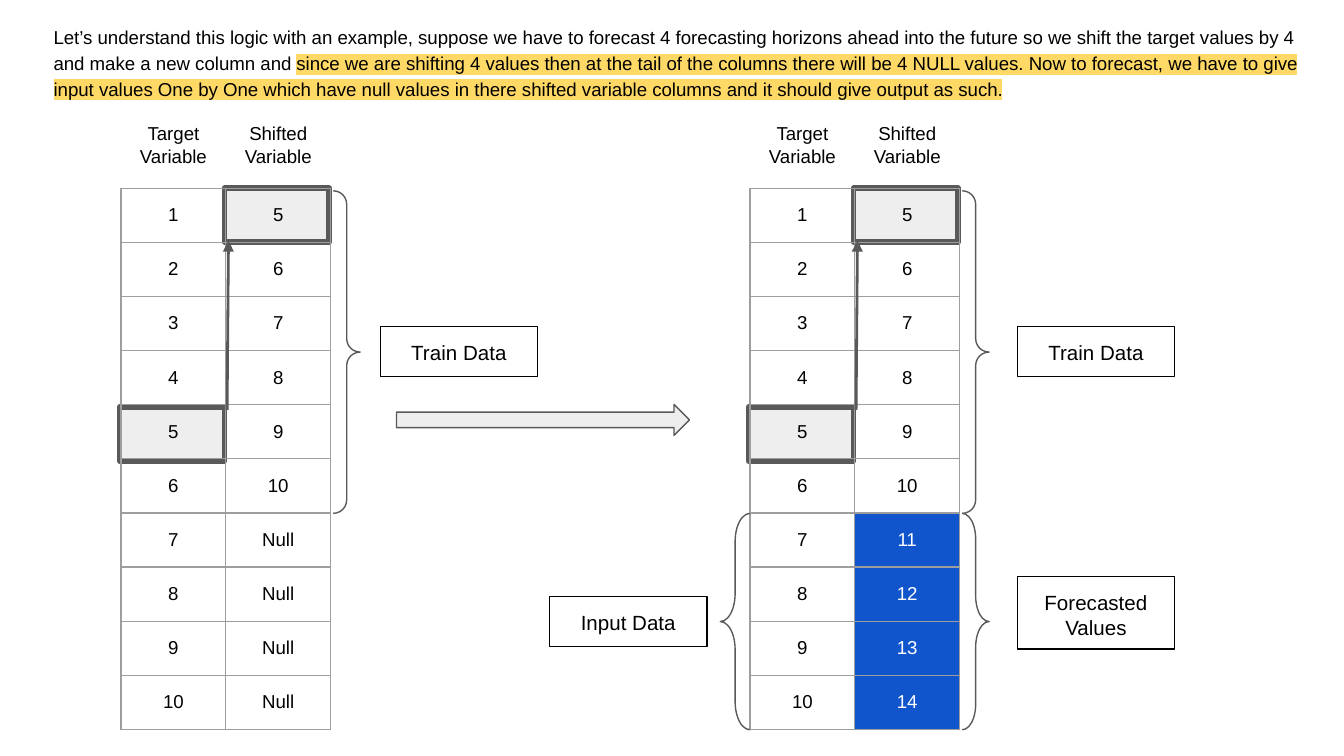
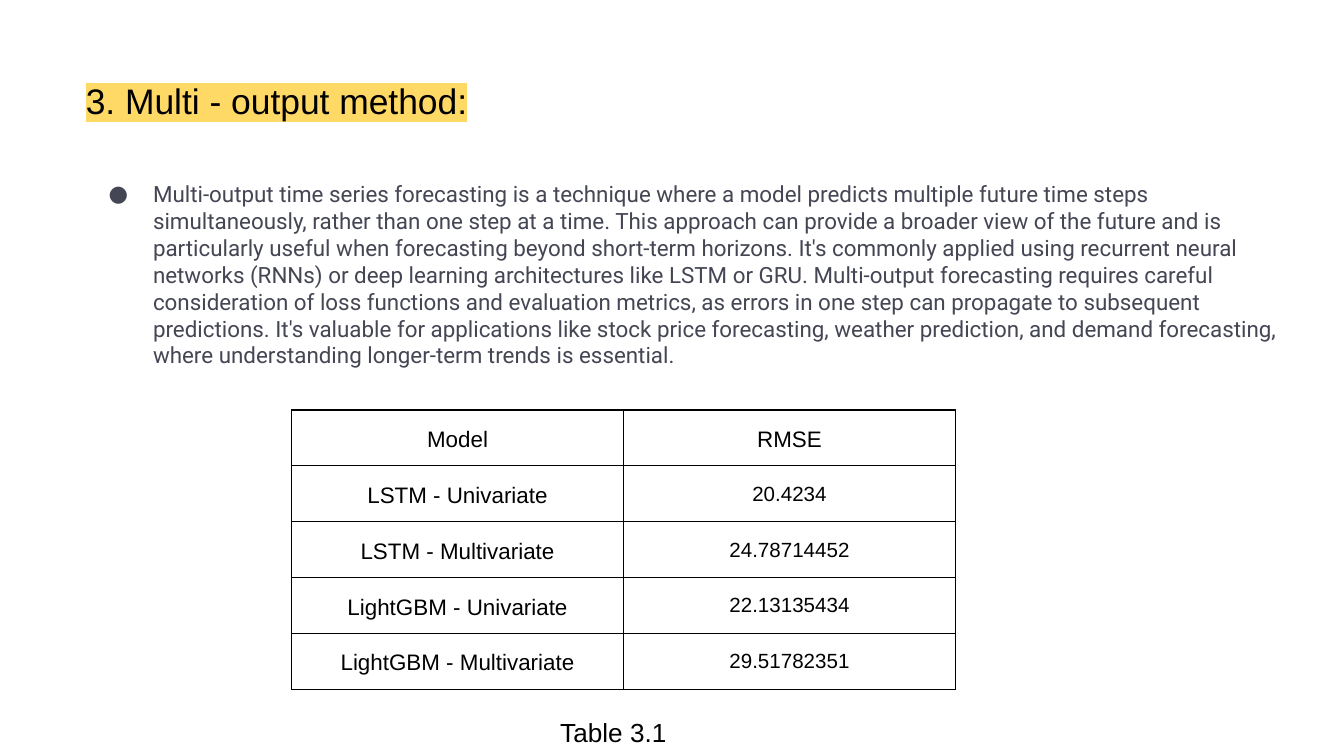
"""Build two slides on shifted-target and multi-output forecasting."""
import lxml.etree
import pptx
import pptx.dml.color
import pptx.enum.shapes
import pptx.enum.text
import pptx.oxml.ns
import pptx.util

Inches = pptx.util.Inches
SHAPES = pptx.enum.shapes.MSO_SHAPE
ANCHOR = pptx.enum.text.MSO_ANCHOR
ALIGN = pptx.enum.text.PP_ALIGN

BLACK, WHITE, GREY, PALE = "000000", "FFFFFF", "595959", "EEEEEE"
GRID, BLUE, SLATE, YELLOW = "9E9E9E", "1155CC", "444654", "FFD966"

INTRO = (
    "Let’s understand this logic with an example, suppose we have to forecast 4 forecasting horizons "
    "ahead into the future so we shift the target values by 4 and make a new column and "
)
INTRO_MARKED = (
    "since we are shifting 4 values then at the tail of the columns there will be 4 NULL values. "
    "Now to forecast, we have to give input values One by One which have null values in there "
    "shifted variable columns and it should give output as such."
)
HEADERS = ["Target Variable", "Shifted Variable"]
TARGETS = list(range(1, 11))
SHIFT = 4
PANELS = [
    {"left": 0.9, "tail": ["Null"] * SHIFT, "tail_fill": None},
    {"left": 5.58, "tail": [11, 12, 13, 14], "tail_fill": BLUE},
]
LABELS = [
    ("Train Data", 2.83, 2.43, 0.37),
    ("Train Data", 7.57, 2.43, 0.37),
    ("Forecasted Values", 7.57, 4.29, 0.54),
    ("Input Data", 4.09, 4.44, 0.37),
]
FORECAST_BRACES = [
    (SHAPES.RIGHT_BRACE, (7.16, 3.82, 0.2, 1.61)),
    (SHAPES.LEFT_BRACE, (5.36, 3.82, 0.22, 1.61)),
]
GRID_TOP, GRID_HEIGHT, COLUMN_WIDTH = 1.4, 4.03, 0.78
HIGHLIGHTED_CELLS = [(0, 3.03), (1, GRID_TOP)]

METHOD_TITLE = "3. Multi - output method:"
METHOD_TEXT = (
    "Multi-output time series forecasting is a technique where a model predicts multiple future time "
    "steps simultaneously, rather than one step at a time. This approach can provide a broader view of "
    "the future and is particularly useful when forecasting beyond short-term horizons. It's commonly "
    "applied using recurrent neural networks (RNNs) or deep learning architectures like LSTM or GRU. "
    "Multi-output forecasting requires careful consideration of loss functions and evaluation metrics, "
    "as errors in one step can propagate to subsequent predictions. It's valuable for applications like "
    "stock price forecasting, weather prediction, and demand forecasting, where understanding "
    "longer-term trends is essential."
)
SCORES = [
    ("Model", "RMSE"),
    ("LSTM - Univariate", "20.4234"),
    ("LSTM - Multivariate", "24.78714452"),
    ("LightGBM - Univariate", "22.13135434"),
    ("LightGBM - Multivariate", "29.51782351"),
]
CAPTION = "Table 3.1"


def color(value):
    return pptx.dml.color.RGBColor.from_string(value)


def add_element(parent, tag, **attributes):
    return lxml.etree.SubElement(parent, pptx.oxml.ns.qn(tag), **attributes)


def add_run(paragraph, text, size, ink=BLACK, font="Arial", marker=None):
    run = paragraph.add_run()
    run.text = str(text)
    run.font.size = pptx.util.Pt(size)
    run.font.color.rgb = color(ink)
    if marker:
        highlight = add_element(run.font._element, "a:highlight")
        add_element(highlight, "a:srgbClr", val=marker)
    run.font.name = font


def set_frame(frame, anchor=ANCHOR.TOP):
    frame.word_wrap = True
    frame.vertical_anchor = anchor
    frame.margin_left = frame.margin_right = Inches(0.1)
    frame.margin_top = frame.margin_bottom = Inches(0.1)
    return frame.paragraphs[0]


def add_text_box(slide, box, anchor=ANCHOR.TOP):
    frame = slide.shapes.add_textbox(*map(Inches, box)).text_frame
    return frame, set_frame(frame, anchor)


def add_shape(slide, kind, box, fill=None, line=GREY, width=0.75, adjustments=()):
    shape = slide.shapes.add_shape(kind, *map(Inches, box))
    shape.shadow.inherit = False
    if fill:
        shape.fill.solid()
        shape.fill.fore_color.rgb = color(fill)
    else:
        shape.fill.background()
    shape.line.color.rgb = color(line)
    shape.line.width = pptx.util.Pt(width)
    for index, value in enumerate(adjustments):
        shape.adjustments[index] = value
    return shape


def add_table(slide, box, rows, columns, border):
    table = slide.shapes.add_table(rows, columns, *map(Inches, box)).table
    table.first_row = table.horz_banding = False
    for cell in table.iter_cells():
        cell.margin_top = cell.margin_bottom = Inches(0.1)
        properties = cell._tc.get_or_add_tcPr()
        for side in ("a:lnL", "a:lnR", "a:lnT", "a:lnB"):
            edge = add_element(properties, side, w=str(pptx.util.Pt(0.75)))
            add_element(add_element(edge, "a:solidFill"), "a:srgbClr", val=border)
        cell.fill.background()
        cell.text_frame.paragraphs[0].alignment = ALIGN.CENTER
    return table


def add_shift_arrow(slide, left):
    arrow = slide.shapes.add_connector(
        pptx.enum.shapes.MSO_CONNECTOR.STRAIGHT,
        Inches(left + 0.79), Inches(3.05), Inches(left + 0.8), Inches(1.79),
    )
    arrow.line.color.rgb = color(GREY)
    arrow.line.width = pptx.util.Pt(1.5)
    add_element(arrow.line._get_or_add_ln(), "a:tailEnd", type="triangle")
    add_element(arrow._element.spPr, "a:effectLst")


def add_panel(slide, left, tail, tail_fill):
    for column, top in HIGHLIGHTED_CELLS:
        box = (left - 0.01 + column * COLUMN_WIDTH, top, COLUMN_WIDTH, 0.4)
        add_shape(slide, SHAPES.RECTANGLE, box, PALE, width=3)

    box = (left, GRID_TOP, 2 * COLUMN_WIDTH, GRID_HEIGHT)
    table = add_table(slide, box, len(TARGETS), 2, GRID)
    first_tail = len(TARGETS) - SHIFT
    for row, values in enumerate(zip(TARGETS, TARGETS[SHIFT:] + tail)):
        for column, value in enumerate(values):
            cell = table.cell(row, column)
            cell.vertical_anchor = ANCHOR.MIDDLE
            filled = tail_fill and column == 1 and row >= first_tail
            if filled:
                cell.fill.solid()
                cell.fill.fore_color.rgb = color(tail_fill)
            add_run(cell.text_frame.paragraphs[0], value, 10, WHITE if filled else BLACK)

    for column, header in enumerate(HEADERS):
        box = (left + column * COLUMN_WIDTH, 0.89, COLUMN_WIDTH, 0.37)
        _, paragraph = add_text_box(slide, box, ANCHOR.MIDDLE)
        paragraph.alignment = ALIGN.CENTER
        add_run(paragraph, header, 10)

    add_shift_arrow(slide, left)
    add_shape(slide, SHAPES.RIGHT_BRACE, (left + 1.58, 1.42, 0.2, 2.4), adjustments=(0.5, 0.5))


def build_shift_slide(slide):
    _, paragraph = add_text_box(slide, (0.3, 0.07, 9.52, 0.77))
    paragraph.line_spacing = 1.15
    add_run(paragraph, INTRO, 10)
    add_run(paragraph, INTRO_MARKED, 10, marker=YELLOW)

    for panel in PANELS:
        add_panel(slide, **panel)
    for kind, box in FORECAST_BRACES:
        add_shape(slide, kind, box, adjustments=(0.95, 0.5))
    add_shape(slide, SHAPES.RIGHT_ARROW, (2.95, 3.01, 2.18, 0.23), PALE, adjustments=(0.5, 0.5))

    for text, left, top, height in LABELS:
        label = add_shape(slide, SHAPES.RECTANGLE, (left, top, 1.17, height), line=BLACK)
        paragraph = set_frame(label.text_frame)
        paragraph.alignment = ALIGN.CENTER
        add_run(paragraph, text, 11)


def build_method_slide(slide):
    frame, title = add_text_box(slide, (0.54, 0.49, 9.22, 4.91))
    add_run(title, METHOD_TITLE, 19, marker=YELLOW)

    body = frame.add_paragraph()
    body.space_before = pptx.util.Pt(31.3)
    properties = body._p.get_or_add_pPr()
    properties.set("marL", str(Inches(0.5)))
    properties.set("indent", str(Inches(-0.33)))
    add_element(add_element(properties, "a:buClr"), "a:srgbClr", val=SLATE)
    add_element(properties, "a:buSzPts", val="1200")
    add_element(properties, "a:buFont", typeface="Roboto")
    add_element(properties, "a:buChar", char="●")
    add_run(body, METHOD_TEXT, 12, SLATE, "Roboto")

    table = add_table(slide, (2.17, 3.05, 4.94, 2.08), len(SCORES), 2, BLACK)
    for row, values in enumerate(SCORES):
        for column, value in enumerate(values):
            cell = table.cell(row, column)
            cell.margin_left = cell.margin_right = Inches(0.07)
            cell.margin_bottom = Inches(0.08)
            paragraph = cell.text_frame.paragraphs[0]
            paragraph.line_spacing = 1.15
            add_run(paragraph, value, 11 if row and column else 12)

    _, caption = add_text_box(slide, (4.07, 5.23, 1.06, 0.34))
    add_run(caption, CAPTION, 14)


def main():
    presentation = pptx.Presentation()
    presentation.slide_width = Inches(10)
    presentation.slide_height = presentation.slide_width * 9 // 16
    for build in (build_shift_slide, build_method_slide):
        build(presentation.slides.add_slide(presentation.slide_layouts[6]))
    presentation.save("out.pptx")


if __name__ == "__main__":
    main()
